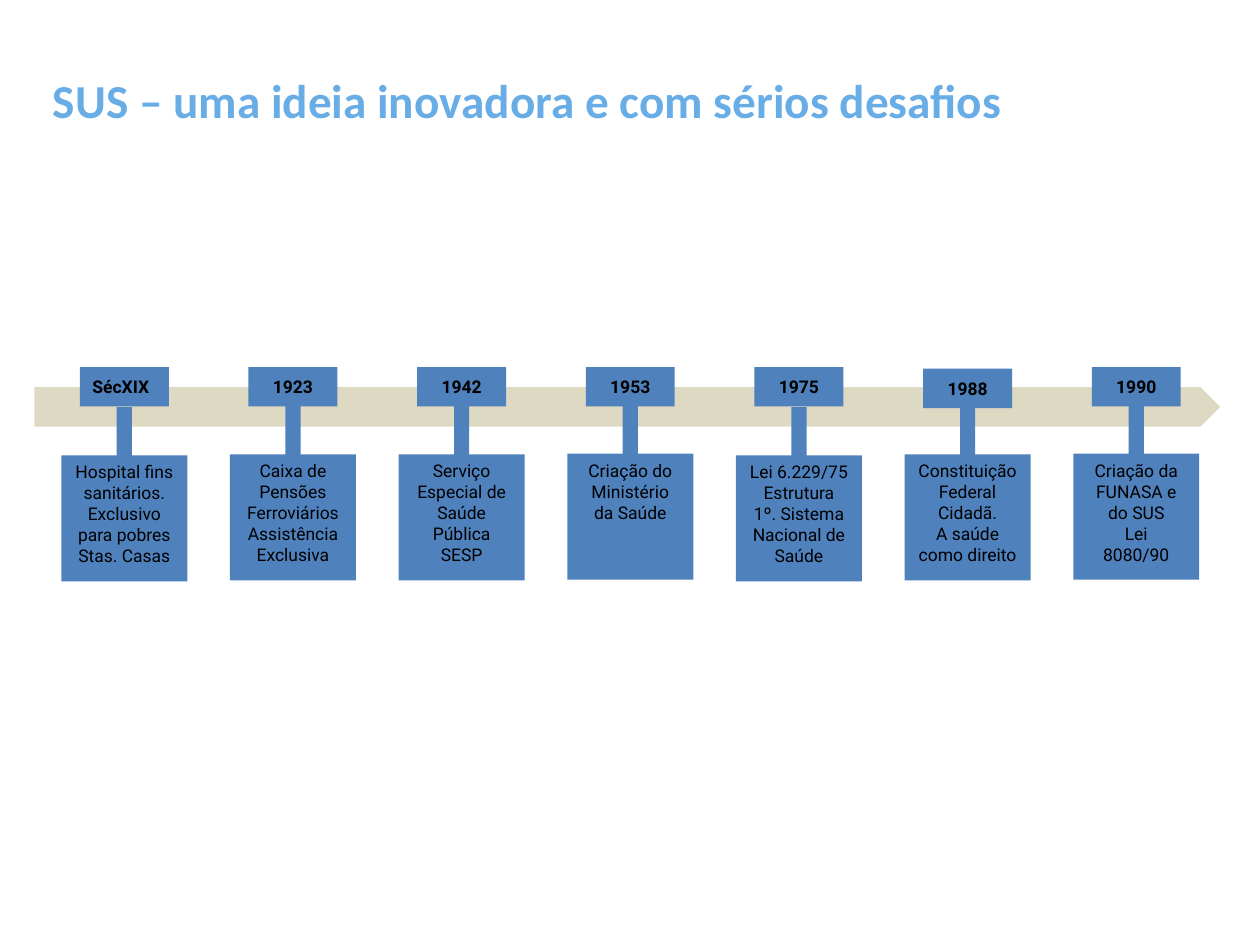
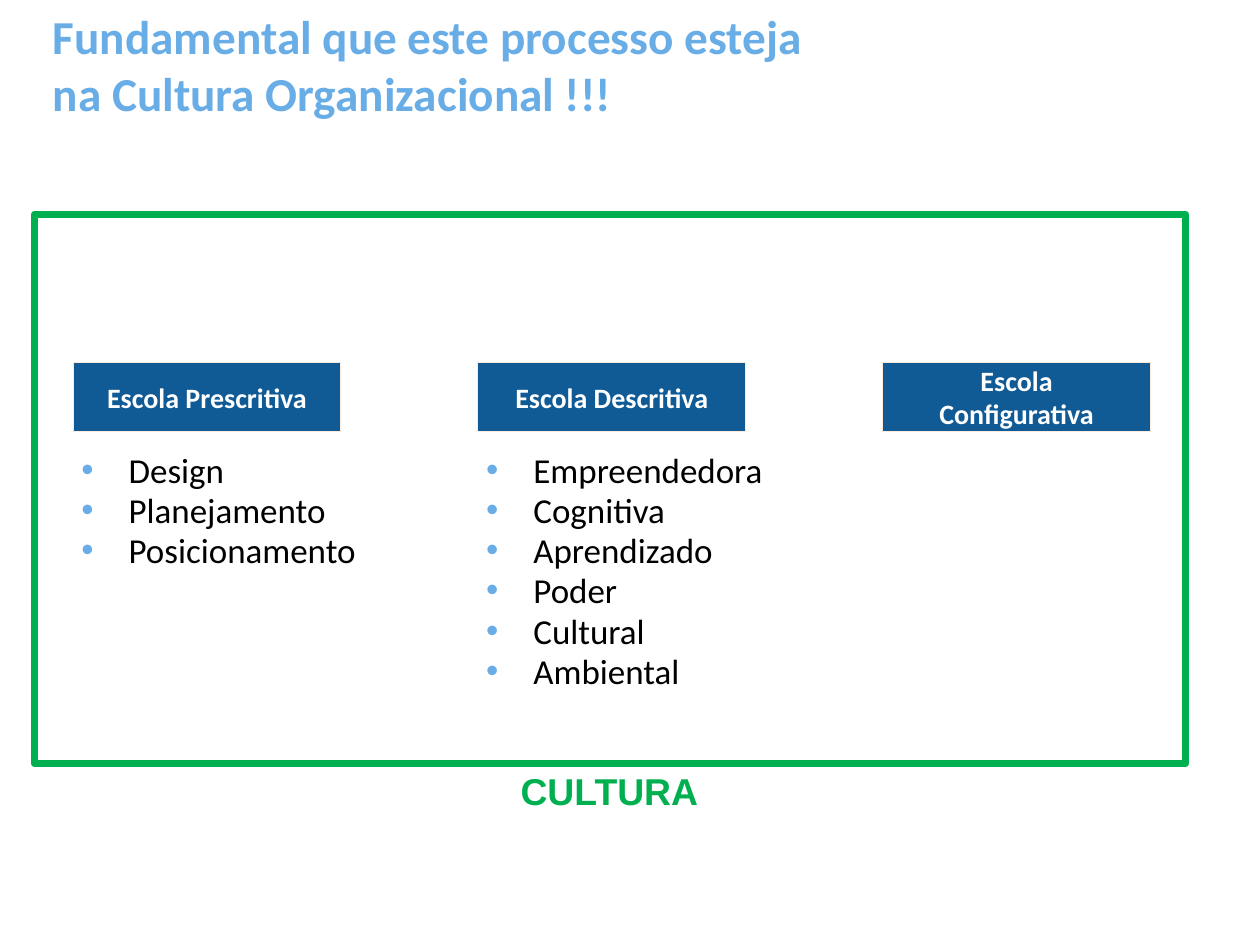
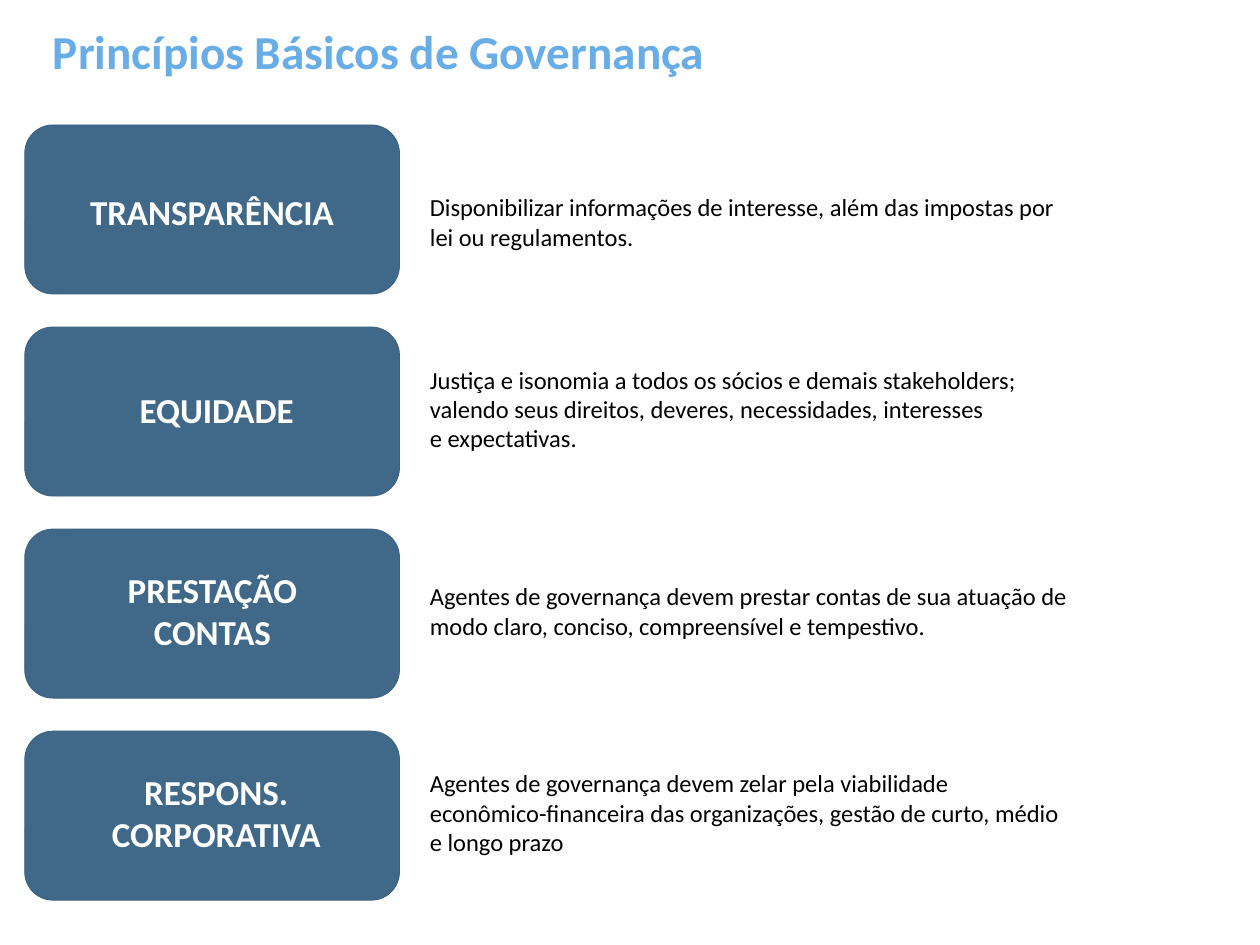
from lxml import etree
from pptx import Presentation
from pptx.dml.color import RGBColor
from pptx.enum.shapes import MSO_SHAPE
from pptx.enum.text import MSO_ANCHOR, MSO_AUTO_SIZE, PP_ALIGN
from pptx.oxml.ns import qn
from pptx.util import Cm, Pt

RECTANGLE = MSO_SHAPE.RECTANGLE
ROUNDED = MSO_SHAPE.ROUNDED_RECTANGLE
PENTAGON = MSO_SHAPE.PENTAGON
LEFT, CENTER, JUSTIFY = PP_ALIGN.LEFT, PP_ALIGN.CENTER, PP_ALIGN.JUSTIFY
TOP, MIDDLE = MSO_ANCHOR.TOP, MSO_ANCHOR.MIDDLE

SKY = RGBColor(0x69, 0xAD, 0xE7)
SAND = RGBColor(0xDD, 0xD9, 0xC3)
BLUE = RGBColor(0x4F, 0x81, 0xBD)
NAVY = RGBColor(0x10, 0x5B, 0x95)
CREAM = RGBColor(0xFD, 0xEA, 0xDA)
GREEN = RGBColor(0x00, 0xB0, 0x50)
STEEL = RGBColor(0x40, 0x69, 0x89)
STEEL_EDGE = RGBColor(0x3C, 0x62, 0x80)
BLACK = RGBColor(0, 0, 0)
WHITE = RGBColor(0xFF, 0xFF, 0xFF)


def add_bullet(para):
    properties = para._p.get_or_add_pPr()
    properties.set("marL", str(Cm(1.43)))
    properties.set("indent", str(-Cm(1.43)))
    color = etree.SubElement(properties, qn("a:buClr"))
    etree.SubElement(color, qn("a:srgbClr"), val=str(SKY))
    etree.SubElement(properties, qn("a:buFont"), typeface="Arial")
    etree.SubElement(properties, qn("a:buChar"), char="•")


def write(frame, paragraphs, size=30, font="Calibri", color=BLACK, bold=False,
          align=LEFT, anchor=TOP, bullet=False, line_spacing=None, space_before=0):
    """Fill a text frame, one paragraph per item; a newline is a line break."""
    frame.vertical_anchor = anchor
    for index, text in enumerate(paragraphs):
        para = frame.add_paragraph() if index else frame.paragraphs[0]
        para.text = text
        para.alignment = align
        if line_spacing:
            para.line_spacing = Pt(line_spacing)
        if index and space_before:
            para.space_before = Pt(space_before)
        if bullet:
            add_bullet(para)
        for span in para.runs:
            span.font.size = Pt(size)
            span.font.name = font
            span.font.bold = bold
            span.font.color.rgb = color


class Deck:
    """The presentation, its shared style and the page being drawn."""

    def __init__(self):
        self.file = Presentation()
        self.file.slide_width = Cm(38.1)
        self.file.slide_height = Cm(38.1) * 3 // 4
        self.page = None

    def new_page(self, title, top, width):
        self.page = self.file.slides.add_slide(self.file.slide_layouts[6])
        box = self.page.shapes.add_textbox(Cm(1.35), Cm(top), Cm(width), Cm(1.75))
        box.text_frame.word_wrap = True
        write(box.text_frame, [title], size=40.5, color=SKY, bold=True, anchor=MIDDLE)

    def shape(self, kind, left, top, width, height, paragraphs=(), fill=None,
              line=None, line_width=0.75, **text_format):
        box = self.page.shapes.add_shape(kind, Cm(left), Cm(top), Cm(width), Cm(height))
        box.shadow.inherit = False
        if fill is None:
            box.fill.background()
        else:
            box.fill.solid()
            box.fill.fore_color.rgb = fill
        if line is None:
            box.line.fill.background()
        else:
            box.line.color.rgb = line
            box.line.width = Pt(line_width)
        if paragraphs:
            frame = box.text_frame
            frame.word_wrap = True
            frame.margin_left = frame.margin_right = Cm(0.38)
            frame.margin_top = frame.margin_bottom = Cm(0.18)
            write(frame, paragraphs, **text_format)

    def label(self, left, top, width, height, paragraphs, **text_format):
        """Add unwrapped text in a box that fits its content."""
        box = self.page.shapes.add_textbox(Cm(left), Cm(top), Cm(width), Cm(height))
        box.text_frame.word_wrap = False
        box.text_frame.auto_size = MSO_AUTO_SIZE.SHAPE_TO_FIT_TEXT
        write(box.text_frame, paragraphs, **text_format)


def build_timeline(deck):
    deck.new_page("SUS – uma ideia inovadora e com sérios desafios", 2.13, 33.71)
    deck.shape(PENTAGON, 1.04, 11.71, 35.86, 1.19, fill=SAND)
    # year, year alignment, year top, event top, event text
    milestones = [
        ("SécXIX", LEFT, 11.1, 13.77,
         ["Hospital fins sanitários. Exclusivo para pobres", "Stas. Casas"]),
        ("1923", CENTER, 11.1, 13.74,
         ["Caixa de", "Pensões", "Ferroviários", "Assistência", "Exclusiva"]),
        ("1942", CENTER, 11.1, 13.74,
         ["Serviço Especial de Saúde Pública", "SESP"]),
        ("1953", CENTER, 11.1, 13.72, ["Criação do Ministério da Saúde"]),
        ("1975", CENTER, 11.1, 13.77,
         ["Lei 6.229/75", "Estrutura", "1º. Sistema", "Nacional de", "Saúde"]),
        ("1988", CENTER, 11.15, 13.74,
         ["Constituição Federal Cidadã.", "A saúde como direito"]),
        ("1990", CENTER, 11.1, 13.72,
         ["Criação da FUNASA e do SUS", "Lei", "8080/90"]),
    ]
    style = {"fill": BLUE, "size": 15, "font": "Roboto"}
    year_width, stem_width, event_side = 2.69, 0.46, 3.81
    for index, (year, align, year_top, event_top, event) in enumerate(milestones):
        center = 3.76 + 5.1 * index
        deck.shape(RECTANGLE, center - year_width / 2, year_top, year_width, 1.19,
                   [year], bold=True, align=align, anchor=MIDDLE, **style)
        deck.shape(RECTANGLE, center - stem_width / 2, event_top - 1.46,
                   stem_width, 1.6, fill=BLUE)
        deck.shape(RECTANGLE, center - event_side / 2, event_top, event_side,
                   event_side, event, align=CENTER, **style)


def build_schools(deck):
    deck.new_page("Fundamental que este processo esteja\nna Cultura Organizacional !!!",
                  1.07, 26.39)
    # heading, list width, list height, list items
    schools = [
        (["Escola Prescritiva"], 9.37, 3.89,
         ["Design", "Planejamento", "Posicionamento"]),
        (["Escola Descritiva"], 9.19, 7.77,
         ["Empreendedora", "Cognitiva", "Aprendizado", "Poder", "Cultural", "Ambiental"]),
        (["Escola", "Configurativa"], 0, 0, []),
    ]
    for index, (heading, width, height, items) in enumerate(schools):
        left = 2.21 + 12.24 * index
        deck.shape(RECTANGLE, left, 10.95, 8.1, 2.11, heading, fill=NAVY, line=CREAM,
                   size=24, color=WHITE, bold=True, align=CENTER, anchor=MIDDLE)
        if items:
            deck.label(left, 13.69, width, height, items, bullet=True,
                       line_spacing=28.5, space_before=6)
    deck.shape(RECTANGLE, 1.04, 6.48, 34.82, 16.61, line=GREEN, line_width=6)
    deck.label(15.49, 23.09, 5.94, 1.63, ["CULTURA"], size=32, font="Arial",
               color=GREEN, bold=True)


def build_principles(deck):
    deck.new_page("Princípios Básicos de Governança", 0.66, 21.01)
    # name box, name, description box, description
    principles = [
        ((2.44, 5.64, 7.95, 1.55), ["TRANSPARÊNCIA"],
         (12.75, 5.69, 19.76, 2.06),
         ["Disponibilizar informações de interesse, além das impostas por",
          "lei ou regulamentos."]),
        ((3.94, 11.61, 5.23, 1.55), ["EQUIDADE"],
         (12.75, 10.9, 18.59, 2.95),
         ["Justiça e isonomia a todos os sócios e demais stakeholders;",
          "valendo seus direitos, deveres, necessidades, interesses",
          "e expectativas."]),
        ((3.58, 17.07, 5.69, 2.82), ["PRESTAÇÃO", "CONTAS"],
         (12.75, 17.45, 20.12, 2.06),
         ["Agentes de governança devem prestar contas de sua atuação de",
          "modo claro, conciso, compreensível e tempestivo."]),
        ((3.1, 23.16, 6.88, 2.82), ["RESPONS.", "CORPORATIVA"],
         (12.75, 23.11, 19.91, 2.95),
         ["Agentes de governança devem zelar pela viabilidade",
          "econômico-financeira das organizações, gestão de curto, médio",
          "e longo prazo"]),
    ]
    for index, (name_box, name, text_box, text) in enumerate(principles):
        deck.shape(ROUNDED, 0.75, 3.78 + 6.11 * index, 11.33, 5.11,
                   fill=STEEL, line=STEEL_EDGE)
        deck.label(*name_box, name, color=WHITE, bold=True, align=CENTER)
        deck.label(*text_box, text, size=21, align=JUSTIFY)


def main():
    deck = Deck()
    build_timeline(deck)
    build_schools(deck)
    build_principles(deck)
    deck.file.save("out.pptx")


if __name__ == "__main__":
    main()
